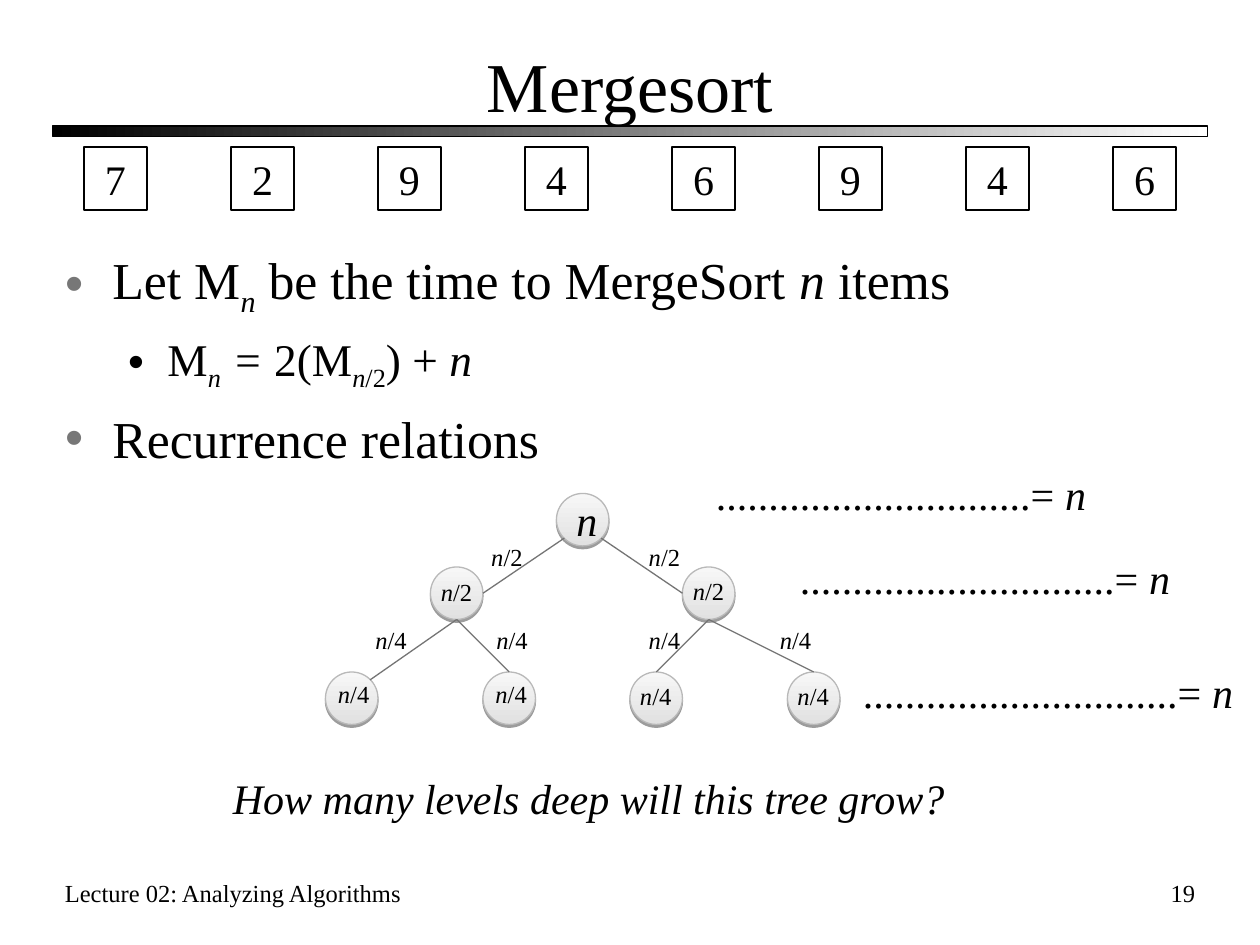
import pptx
import pptx.util
import pptx.dml.color
import pptx.enum.shapes
import pptx.enum.text
import pptx.oxml
import pptx.oxml.ns

Pt = pptx.util.Pt
SHAPE = pptx.enum.shapes.MSO_SHAPE
ALIGN = pptx.enum.text.PP_ALIGN
ANCHOR = pptx.enum.text.MSO_ANCHOR
AUTO_SIZE = pptx.enum.text.MSO_AUTO_SIZE

COLORS = {
    "text": "000000", "bullet": "777777", "bar_end": "FFFFFF", "edge": "747474",
    "node_bottom": "E1E1E1", "node_top": "F7F7F7", "node_line": "B9B9B9",
}
FONT = "Times New Roman"
NAMESPACE = pptx.oxml.ns.nsdecls("a")
NODE_SIZE = 30
# Attachment points on a node, as fractions of its size
SITES = {
    "top": (0.5, 0), "bottom": (0.5, 1), "left": (0, 0.5), "right": (1, 0.5),
    "bottom left": (0.15, 0.85), "bottom right": (0.85, 0.85), "top right": (0.85, 0.15),
}


def color(name):
    return pptx.dml.color.RGBColor.from_string(COLORS[name])


def apply_format(target, values):
    for name, value in values.items():
        setattr(target, name, value)


def place(shape, box):
    apply_format(shape, dict(zip(("left", "top", "width", "height"), map(Pt, box))))


def write(paragraph, pieces, size):
    """Add (text, style) pieces; style "i" is italic, "s" is subscript."""
    for text, style in pieces:
        run = paragraph.add_run()
        run.text = text
        apply_format(run.font, {"name": FONT, "size": Pt(size), "italic": "i" in style})
        run.font.color.rgb = color("text")
        if "s" in style:
            run._r.get_or_add_rPr().set("baseline", "-25000")


def set_line(line, name):
    line.color.rgb = color(name)
    line.width = Pt(0.75)


def set_gradient(fill, start, end, angle):
    fill.gradient()
    fill.gradient_angle = angle
    for stop, name in zip(fill.gradient_stops, (start, end)):
        stop.color.rgb = color(name)


def add_text(slide, box, pieces, size, wrap=True, grow=True, align=ALIGN.LEFT):
    shape = slide.shapes.add_textbox(*map(Pt, box))
    apply_format(shape.text_frame, {
        "word_wrap": wrap,
        "auto_size": AUTO_SIZE.SHAPE_TO_FIT_TEXT if grow else AUTO_SIZE.NONE,
    })
    paragraph = shape.text_frame.paragraphs[0]
    paragraph.alignment = align
    write(paragraph, pieces, size)


def add_title(slide, box):
    left, top, width, height = box
    title = slide.shapes.title
    place(title, box)
    apply_format(title.text_frame, {"vertical_anchor": ANCHOR.MIDDLE,
                                    "auto_size": AUTO_SIZE.NONE})
    paragraph = title.text_frame.paragraphs[0]
    paragraph.alignment = ALIGN.CENTER
    write(paragraph, [("Mergesort", "")], 40)

    # Gradient rule under the title
    bar = slide.shapes.add_shape(SHAPE.RECTANGLE, Pt(left), Pt(top + height), Pt(width), Pt(6))
    bar.shadow.inherit = False
    set_gradient(bar.fill, "text", "bar_end", 0)
    set_line(bar.line, "text")


def add_numbers(slide, box, numbers):
    left, top, width, size = box
    step = (width - size) / (len(numbers) - 1)
    for index, number in enumerate(numbers):
        square = slide.shapes.add_shape(
            SHAPE.RECTANGLE, Pt(left + index * step), Pt(top), Pt(size), Pt(size))
        square.shadow.inherit = False
        square.fill.background()
        set_line(square.line, "text")
        apply_format(square.text_frame, {"vertical_anchor": ANCHOR.TOP, "word_wrap": True})
        paragraph = square.text_frame.paragraphs[0]
        paragraph.alignment = ALIGN.CENTER
        write(paragraph, [(number, "")], 24)


def add_body(slide, box):
    body = slide.placeholders[1]
    place(body, box)
    frame = body.text_frame
    frame.auto_size = AUTO_SIZE.NONE
    # Per level: size, left margin, hanging indent, space before, bullet colour
    levels = [(29.6, 27, 27, 8, "bullet"), (25.9, 58.5, 22.5, 7, "text")]
    items = [
        (0, [("Let M", ""), ("n", "is"), (" be the time to MergeSort ", ""),
             ("n", "i"), (" items", "")]),
        (1, [("M", ""), ("n", "is"), (" = ", "i"), ("2(M", ""), ("n", "is"),
             ("/2", "s"), (") + ", ""), ("n", "i")]),
        (0, [("Recurrence relations", "")]),
    ]
    for index, (level, pieces) in enumerate(items):
        size, margin, hanging, space, bullet = levels[level]
        paragraph = frame.add_paragraph() if index else frame.paragraphs[0]
        apply_format(paragraph, {"level": level, "space_before": Pt(space if index else 0)})
        properties = paragraph._p.get_or_add_pPr()
        properties.set("marL", str(int(Pt(margin))))
        properties.set("indent", str(-int(Pt(hanging))))
        for xml in (f'<a:buClr {NAMESPACE}><a:srgbClr val="{COLORS[bullet]}"/></a:buClr>',
                    f'<a:buChar {NAMESPACE} char="•"/>'):
            properties.append(pptx.oxml.parse_xml(xml))
        write(paragraph, pieces, size)


def add_node(slide, left, top):
    node = slide.shapes.add_shape(SHAPE.OVAL, Pt(left), Pt(top), Pt(NODE_SIZE), Pt(NODE_SIZE))
    set_gradient(node.fill, "node_bottom", "node_top", 90)
    set_line(node.line, "node_line")
    node.shadow.inherit = False
    effects = node._element.spPr.find(pptx.oxml.ns.qn("a:effectLst"))
    effects.append(pptx.oxml.parse_xml(
        f'<a:outerShdw {NAMESPACE} blurRad="0" dist="{int(Pt(1.6))}" dir="5400000" '
        f'rotWithShape="0"><a:srgbClr val="{COLORS["text"]}"><a:alpha val="38000"/>'
        '</a:srgbClr></a:outerShdw>'))
    return node


def add_edge(slide, start, end):
    edge = slide.shapes.add_connector(
        pptx.enum.shapes.MSO_CONNECTOR.STRAIGHT, *map(Pt, start + end))
    set_line(edge.line, "edge")
    edge._element.spPr.append(pptx.oxml.parse_xml(f"<a:effectLst {NAMESPACE}/>"))


def add_tree(slide, box):
    left, top = box[:2]
    # Node: position, parent, edge sites, part, edge label position, label shift
    nodes = [
        ((132, 0), None, None, None, None, None),
        ((60, 42), 0, ("bottom left", "right"), "/2", (87.6, 24), (-1.2, 2.2)),
        ((204, 42), 0, ("bottom right", "left"), "/2", (177.6, 24), (-1.2, 1.4)),
        ((0, 102), 1, ("bottom", "top right"), "/4", (21.4, 71.5), (0, 0.5)),
        ((90, 102), 1, ("bottom", "top"), "/4", (90.5, 71.5), (0, 0.5)),
        ((174, 102), 2, ("bottom", "top"), "/4", (177.6, 71.5), (-1.4, 1.9)),
        ((264, 102), 2, ("bottom", "top"), "/4", (252.5, 71.5), (-1.4, 1.9)),
    ]

    def site(position, name):
        return tuple(origin + offset + NODE_SIZE * part for origin, offset, part
                     in zip((left, top), position, SITES[name]))

    for (x, y), parent, sites, part, label, shift in nodes:
        node = add_node(slide, left + x, top + y)
        if parent is None:
            apply_format(node.text_frame, {"vertical_anchor": ANCHOR.MIDDLE, "word_wrap": True})
            paragraph = node.text_frame.paragraphs[0]
            paragraph.alignment = ALIGN.CENTER
            write(paragraph, [("n", "i")], 24)
            continue
        add_edge(slide, site(nodes[parent][0], sites[0]), site((x, y), sites[1]))
        for label_x, label_y in (label, (x + shift[0], y + shift[1])):
            add_text(slide, (left + label_x, top + label_y, 32.4, 24.2),
                     [("n", "i"), (part, "")], 14, wrap=False)


def add_level_sums(slide, boxes):
    for box in boxes:
        add_text(slide, box, [("." * 30 + "= ", ""), ("n", "i")], 24)


def add_footer(slide, box):
    left, top, width, height = box
    add_text(slide, (left, top, 252, height),
             [("Lecture 02: Analyzing Algorithms", "")], 14, grow=False)
    add_text(slide, (left + width - 150, top, 150, height), [("19", "")], 14,
             grow=False, align=ALIGN.RIGHT)


def main():
    presentation = pptx.Presentation()
    apply_format(presentation, {"slide_width": Pt(720), "slide_height": Pt(540)})
    slide = presentation.slides.add_slide(presentation.slide_layouts[1])
    add_title(slide, (30, 24, 660, 48))
    add_numbers(slide, (48, 84, 624, 36), "72946946")
    add_body(slide, (30, 138, 660, 132))
    add_tree(slide, (186, 282, 294, 132))
    add_level_sums(slide, [(402, 264, 228, 36), (450, 312, 228, 36), (486, 377.5, 228, 36)])
    add_text(slide, (126, 438, 422.6, 36),
             [("How many levels deep will this tree grow?", "i")], 24, wrap=False)
    add_footer(slide, (30, 498, 660, 36))
    presentation.save("out.pptx")


if __name__ == "__main__":
    main()
